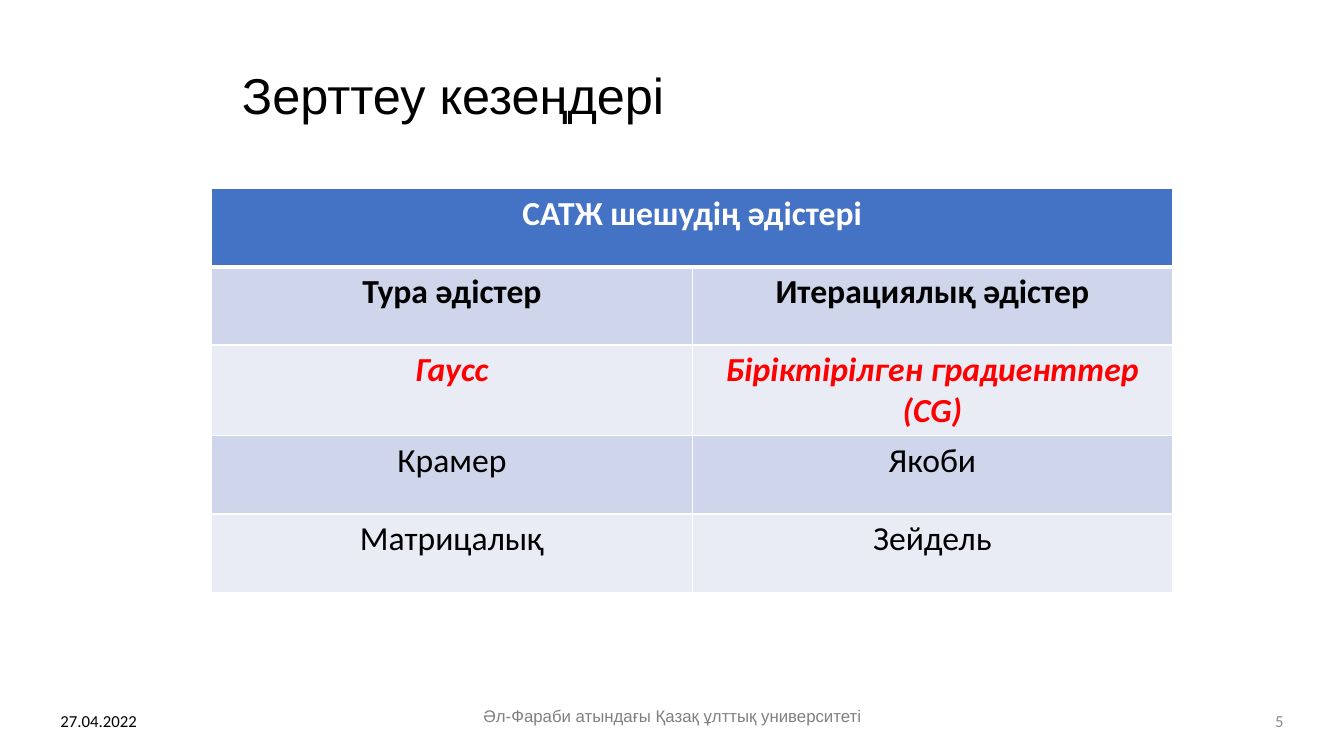
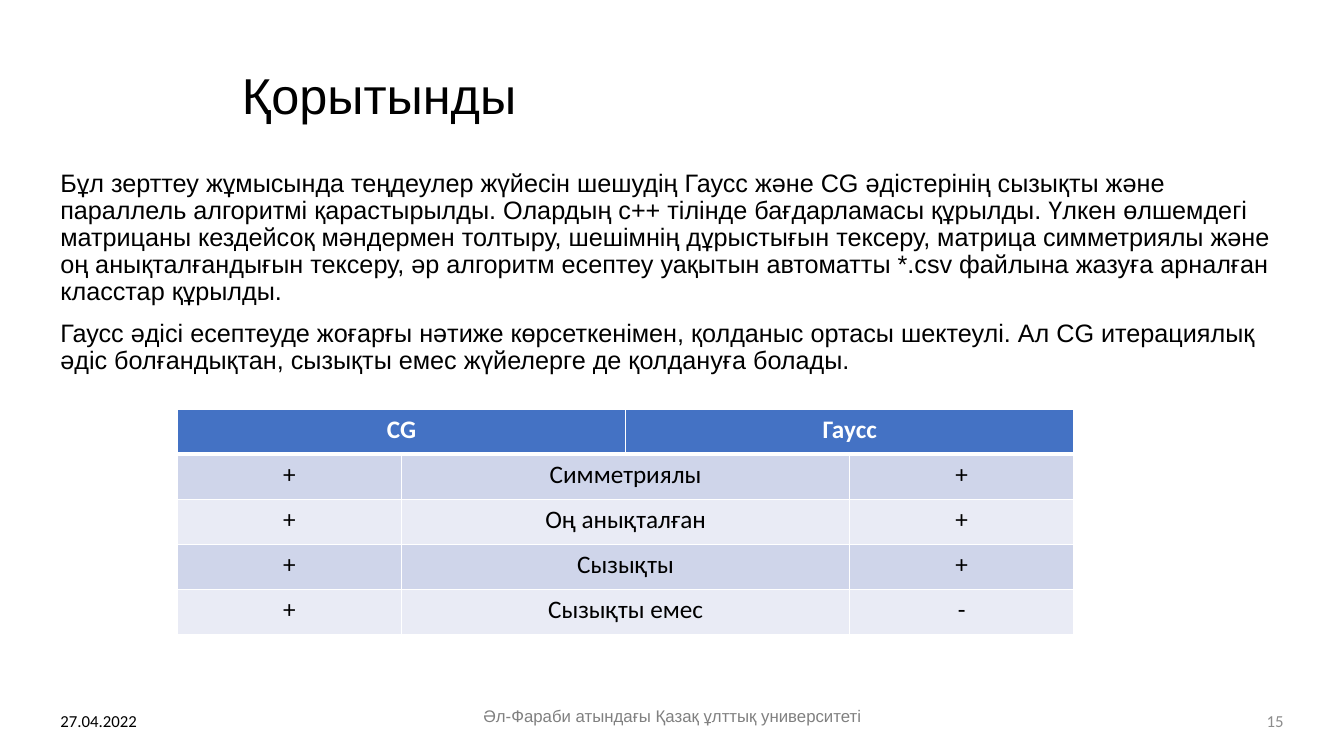
import pptx
import pptx.dml.color
import pptx.enum.text
import pptx.oxml
import pptx.oxml.ns
import pptx.util
from pptx.util import Inches

BLACK, WHITE, RED = "000000", "FFFFFF", "FF0000"
HEADER_FILL = "4472C4"
BAND_FILLS = ["CFD5EA", "E9EBF5"]
FOOTER_GREY, NUMBER_GREY = "808080", "8C8C8C"
HEADING_FONT, TABLE_FONT = "Arial", "Calibri"

DATE = "27.04.2022"
FOOTER = "Әл-Фараби атындағы Қазақ ұлттық университеті"
CONCLUSIONS = [
    "Бұл зерттеу жұмысында теңдеулер жүйесін шешудің Гаусс және CG әдістерінің "
    "сызықты және параллель алгоритмі қарастырылды. Олардың c++ тілінде "
    "бағдарламасы құрылды. Үлкен өлшемдегі матрицаны кездейсоқ мәндермен толтыру, "
    "шешімнің дұрыстығын тексеру, матрица симметриялы және оң анықталғандығын "
    "тексеру, әр алгоритм есептеу уақытын автоматты *.csv файлына жазуға арналған "
    "класстар құрылды.",
    "Гаусс әдісі есептеуде жоғарғы нәтиже көрсеткенімен, қолданыс ортасы шектеулі. "
    "Ал CG итерациялық әдіс болғандықтан, сызықты емес жүйелерге де қолдануға болады.",
]
# None continues the cell to its left.
METHODS = [
    ["САТЖ шешудің әдістері", None],
    ["Тура әдістер", "Итерациялық әдістер"],
    ["Гаусс", "Біріктірілген градиенттер (CG)"],
    ["Крамер", "Якоби"],
    ["Матрицалық", "Зейдель"],
]
COMPARISON = [
    ["CG", None, "Гаусс", None],
    ["+", "Симметриялы", None, "+"],
    ["+", "Оң анықталған", None, "+"],
    ["+", "Сызықты", None, "+"],
    ["+", "Сызықты емес", None, "-"],
]


def rgb(value):
    return pptx.dml.color.RGBColor.from_string(value)


def style_paragraph(para, font, size, color, align="LEFT", bold=False, italic=False):
    para.alignment = pptx.enum.text.PP_ALIGN[align]
    para.font.name = font
    para.font.size = pptx.util.Pt(size)
    para.font.color.rgb = rgb(color)
    para.font.bold = bold
    para.font.italic = italic


def add_text(page, area, texts, font, size, color, align="LEFT", anchor="TOP"):
    box = page.shapes.add_textbox(*map(Inches, area))
    frame = box.text_frame
    frame.word_wrap = True
    frame.vertical_anchor = pptx.enum.text.MSO_ANCHOR[anchor]
    frame.text = "\n".join(texts)
    for para in frame.paragraphs:
        style_paragraph(para, font, size, color, align)
    return frame


def add_page(deck, title, number):
    """Add a slide with the shared title, date, footer and number."""
    page = deck.slides.add_slide(deck.slide_layouts[5])
    heading = page.shapes.title
    heading.left, heading.top, heading.width, heading.height = map(
        Inches, (2.3, 0.4, 10.52, 1.14))
    heading.text_frame.text = title
    heading.text_frame.vertical_anchor = pptx.enum.text.MSO_ANCHOR.MIDDLE
    para = heading.text_frame.paragraphs[0]
    style_paragraph(para, HEADING_FONT, 36, BLACK)
    para.line_spacing = 0.9

    top, height = 6.95, 0.4
    add_text(page, (0.5, top, 2.98, height), [DATE], TABLE_FONT, 12, BLACK,
             anchor="MIDDLE")
    add_text(page, (4.42, top, 4.5, height), [FOOTER], HEADING_FONT, 12,
             FOOTER_GREY, "CENTER")
    add_text(page, (9.85, top, 2.98, height), [str(number)], TABLE_FONT, 12,
             NUMBER_GREY, "RIGHT", "MIDDLE")
    return page


def set_borders(cell, top, bottom):
    """Draw white cell borders; top and bottom are widths in points."""
    properties = cell._tc.get_or_add_tcPr()
    widths = {"lnL": 1, "lnR": 1, "lnT": top, "lnB": bottom}
    for index, (tag, width) in enumerate(widths.items()):
        properties.insert(index, pptx.oxml.parse_xml(
            f'<a:{tag} {pptx.oxml.ns.nsdecls("a")} w="{pptx.util.Pt(width)}">'
            f'<a:solidFill><a:srgbClr val="{WHITE}"/></a:solidFill></a:{tag}>'))


def add_banded_table(page, area, rows, size, styles):
    """Add a table; styles maps a body row number to its font settings."""
    left, top, width, height = map(Inches, area)
    table = page.shapes.add_table(
        len(rows), len(rows[0]), left, top, width, height).table
    for row, texts in enumerate(rows):
        fill = BAND_FILLS[(row - 1) % 2] if row else HEADER_FILL
        look = styles.get(row, {"color": BLACK}) if row else {
            "color": WHITE, "bold": True}
        for column, text in enumerate(texts):
            cell = table.cell(row, column)
            cell.fill.solid()
            cell.fill.fore_color.rgb = rgb(fill)
            set_borders(cell, 3 if row == 1 else 1, 3 if row == 0 else 1)
            if text is None:
                table.cell(row, column - 1).merge(cell)
                continue
            cell.text = text
            style_paragraph(cell.text_frame.paragraphs[0], TABLE_FONT, size,
                            align="CENTER", **look)


def add_methods_page(deck):
    page = add_page(deck, "Зерттеу кезеңдері", 5)
    styles = {1: {"color": BLACK, "bold": True},
              2: {"color": RED, "bold": True, "italic": True}}
    add_banded_table(page, (2.1, 1.87, 9.53, 3.88), METHODS, 24, styles)


def add_conclusion_page(deck):
    page = add_page(deck, "Қорытынды", 15)
    frame = add_text(page, (0.5, 1.64, 12.32, 2.18), CONCLUSIONS,
                     HEADING_FONT, 18, BLACK)
    for para in frame.paragraphs:
        para.line_spacing = 0.9
        para.space_before = pptx.util.Pt(10)
    add_banded_table(page, (1.76, 4.06, 8.89, 2.24), COMPARISON, 18, {})


def main():
    deck = pptx.Presentation()
    deck.slide_width, deck.slide_height = Inches(13.33), Inches(7.5)
    add_methods_page(deck)
    add_conclusion_page(deck)
    deck.save("out.pptx")


if __name__ == "__main__":
    main()
